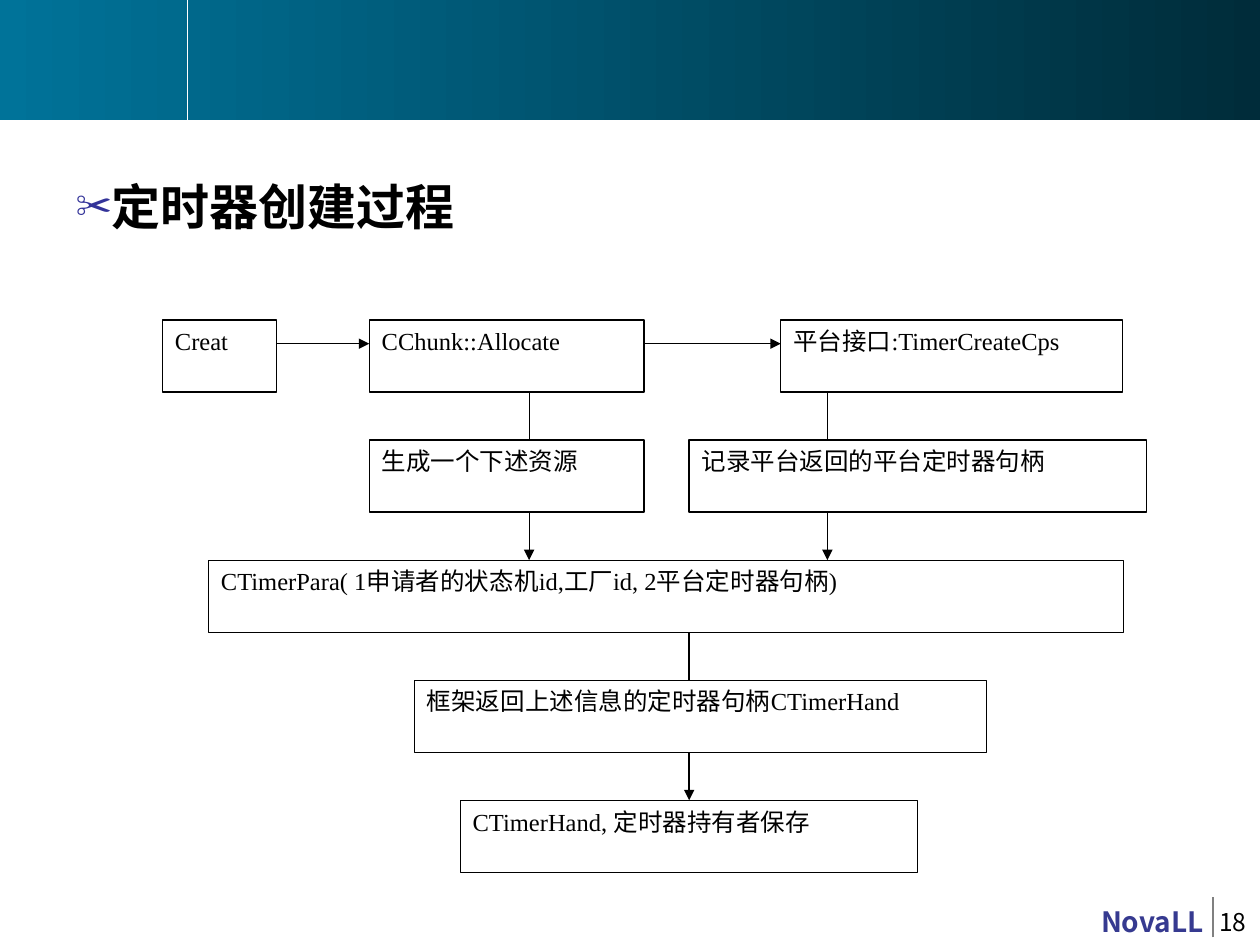
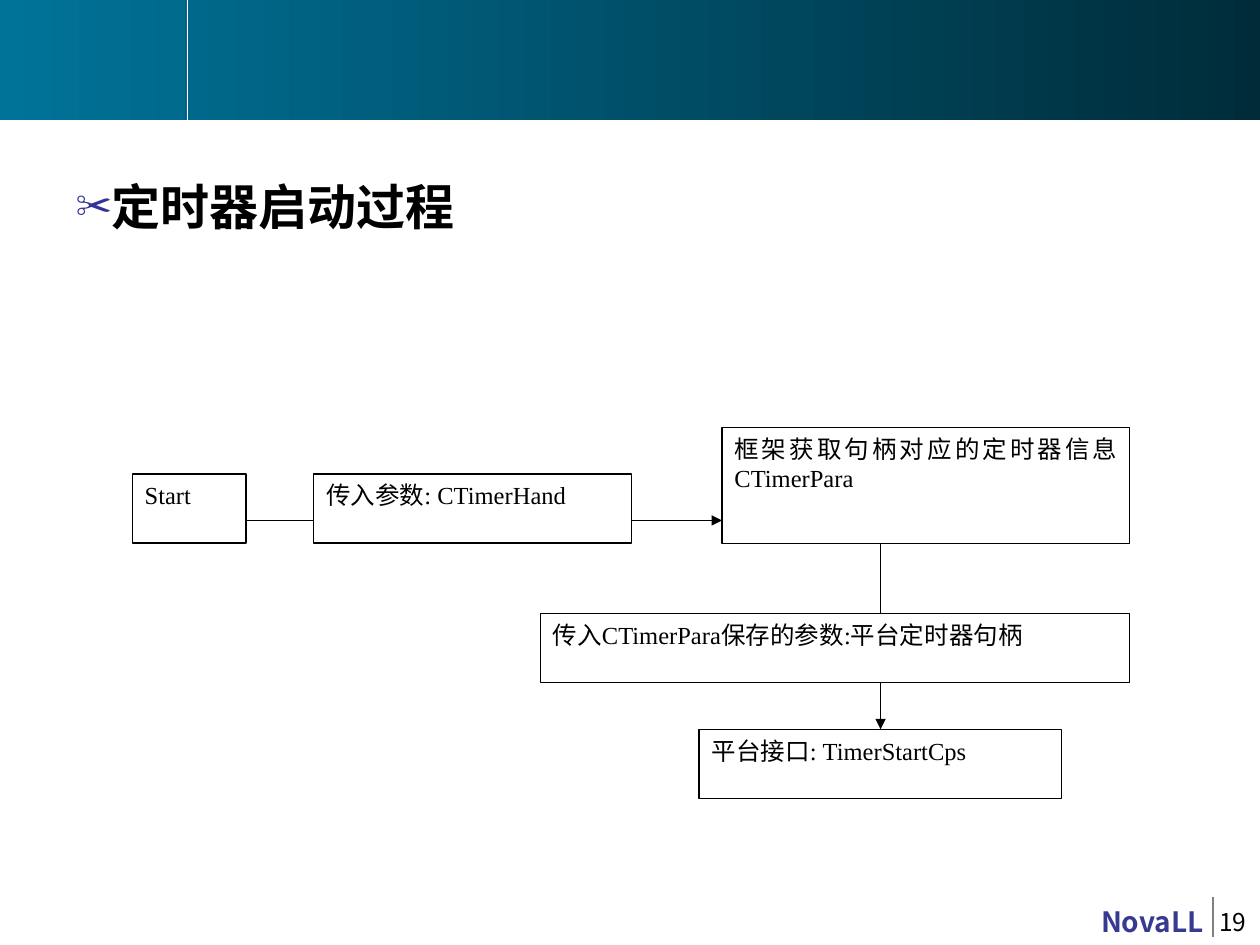
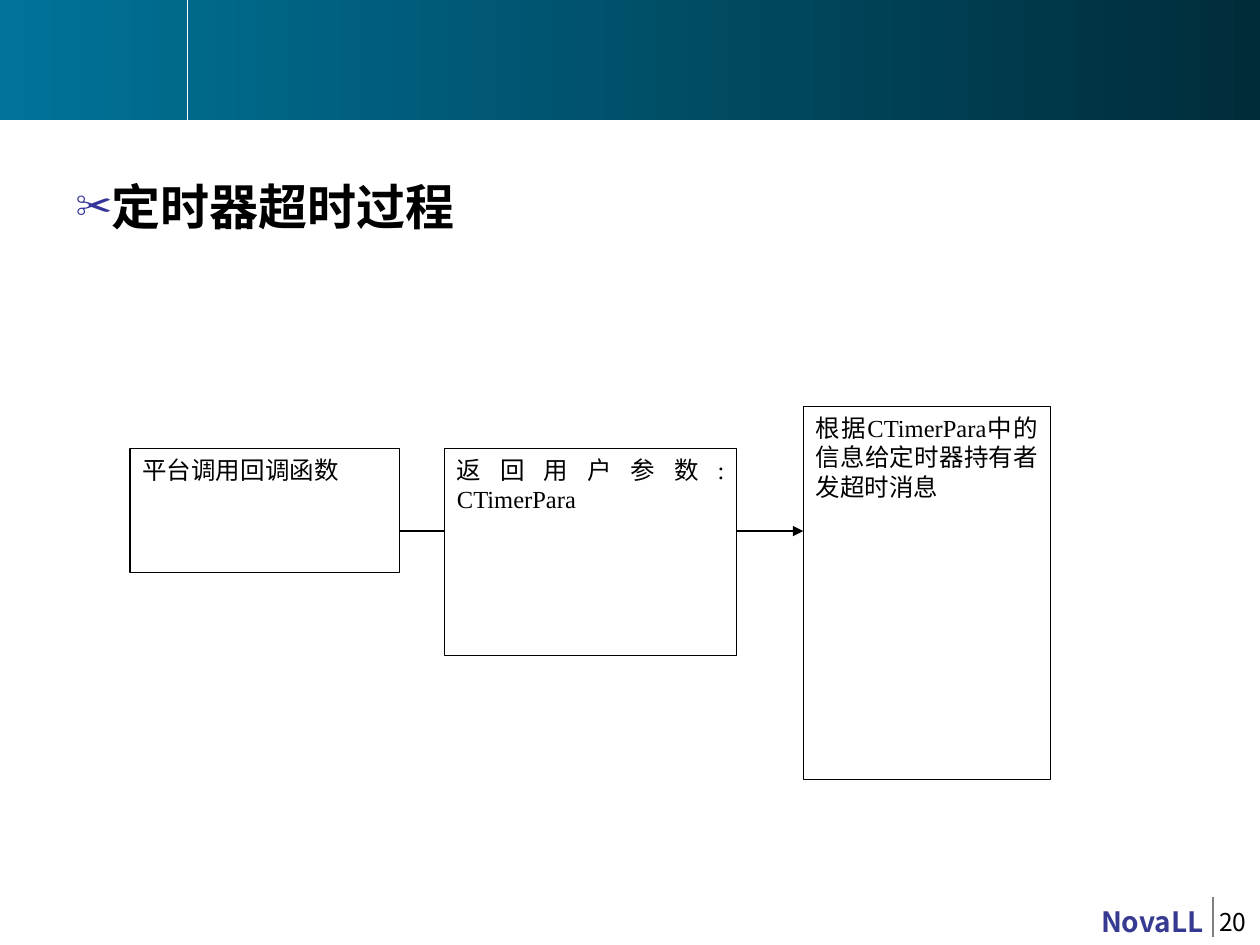
from lxml.etree import SubElement
from pptx import Presentation
from pptx.dml.color import RGBColor
from pptx.enum.shapes import MSO_CONNECTOR, MSO_SHAPE
from pptx.enum.text import MSO_ANCHOR, MSO_AUTO_SIZE, PP_ALIGN
from pptx.oxml.ns import qn
from pptx.util import Pt

BLACK, WHITE, GRAY = "000000", "FFFFFF", "808080"
BRAND, BULLET = "363A90", "333399"
BAND_START, BAND_END = "007399", "002C3A"
SANS, SERIF, HEADING = "Noto Sans CJK JP", "Times New Roman", "Arial"
WIDTH, HEIGHT = 720, 540
FIRST_PAGE = 18

CREATE_ROWS = [182.9 + 68.6 * row for row in range(5)]
CREATE_HEIGHT = 41.2
START_HEIGHT = 39.6

# Each box is (left, top, width, height, text); each arrow is
# (from box, to box, direction, fixed coordinate).
SLIDES = [
    {
        "heading": "定时器创建过程",
        "boxes": {
            "create": (92.9, CREATE_ROWS[0], 65.2, CREATE_HEIGHT, "Creat"),
            "allocate": (211, CREATE_ROWS[0], 157, CREATE_HEIGHT, "CChunk::Allocate"),
            "platform": (446.2, CREATE_ROWS[0], 195.4, CREATE_HEIGHT, "平台接口:TimerCreateCps"),
            "resource": (211, CREATE_ROWS[1], 157, CREATE_HEIGHT, "生成一个下述资源"),
            "record": (393.8, CREATE_ROWS[1], 261.4, CREATE_HEIGHT, "记录平台返回的平台定时器句柄"),
            "parameters": (119.2, CREATE_ROWS[2], 523, CREATE_HEIGHT,
                           "CTimerPara( 1申请者的状态机id,工厂id, 2平台定时器句柄)"),
            "returned": (236.9, CREATE_ROWS[3], 326.9, CREATE_HEIGHT,
                         "框架返回上述信息的定时器句柄CTimerHand"),
            "holder": (263, CREATE_ROWS[4], 261.4, CREATE_HEIGHT, "CTimerHand, 定时器持有者保存"),
        },
        "arrows": [
            ("create", "allocate", "across", 196.4),
            ("allocate", "platform", "across", 196.4),
            ("allocate", "parameters", "down", 302.4),
            ("platform", "parameters", "down", 472.8),
            ("parameters", "holder", "down", 393.8),
        ],
    },
    {
        "heading": "定时器启动过程",
        "boxes": {
            "start": (75.6, 270.8, 65, START_HEIGHT, "Start"),
            "argument": (179.3, 270.8, 181.5, START_HEIGHT, "传入参数: CTimerHand"),
            "lookup": (412.6, 244.3, 233, 66.2, "框架获取句柄对应的定时器信息CTimerPara"),
            "saved": (308.8, 350.5, 336.8, START_HEIGHT, "传入CTimerPara保存的参数:平台定时器句柄"),
            "platform": (399.5, 416.8, 207.3, START_HEIGHT, "平台接口: TimerStartCps"),
        },
        "arrows": [
            ("start", "lookup", "across", 297.4),
            ("lookup", "platform", "down", 503.2),
        ],
    },
    {
        "heading": "定时器超时过程",
        "boxes": {
            "callback": (74.3, 256.2, 154.1, 70.9, "平台调用回调函数"),
            "returned": (254, 256.2, 167, 118.3, "返回用户参数: CTimerPara"),
            "message": (459, 232.3, 141.4, 213.1, "根据CTimerPara中的信息给定时器持有者发超时消息"),
        },
        "arrows": [("callback", "message", "across", 303.5)],
    },
]


def color(value):
    """Turn a hex string into a colour."""
    return RGBColor.from_string(value)


def write(frame, text, size=14, font=SERIF, fill=BLACK, bold=False, align=PP_ALIGN.JUSTIFY):
    """Fill a text frame with one formatted paragraph and return it."""
    frame.word_wrap = True
    frame.auto_size = MSO_AUTO_SIZE.NONE
    frame.vertical_anchor = MSO_ANCHOR.TOP
    paragraph = frame.paragraphs[0]
    paragraph.alignment = align
    run = paragraph.add_run()
    run.text = text
    run.font.size = Pt(size)
    run.font.bold = bold
    run.font.color.rgb = color(fill)
    run.font.name = font
    SubElement(run.font._element, qn("a:ea"), typeface=SANS)
    return paragraph


def add_rectangle(slide, left, top, width, height):
    """Add a rectangle without a shadow."""
    shape = slide.shapes.add_shape(
        MSO_SHAPE.RECTANGLE, Pt(left), Pt(top), Pt(width), Pt(height))
    shape.shadow.inherit = False
    return shape


def add_line(slide, start, end, stroke=BLACK, arrow=False):
    """Add a straight line, with an arrowhead at its end if asked."""
    line = slide.shapes.add_connector(
        MSO_CONNECTOR.STRAIGHT, *(Pt(value) for value in (*start, *end)))
    line.line.color.rgb = color(stroke)
    line.line.width = Pt(0.75)
    if arrow:
        SubElement(line.line._get_or_add_ln(), qn("a:tailEnd"), type="triangle")
    SubElement(line.element.spPr, qn("a:effectLst"))
    return line


def add_label(slide, text, left, top, width, height, **style):
    """Add a right-aligned footer label."""
    label = slide.shapes.add_textbox(Pt(left), Pt(top), Pt(width), Pt(height))
    write(label.text_frame, text, font=SANS, align=PP_ALIGN.RIGHT, **style)
    return label


def add_frame(slide, layout):
    """Place the shared band, rules and brand name on the layout."""
    band = add_rectangle(slide, 0, 0, WIDTH, 68.8)
    band.line.fill.background()
    band.fill.gradient()
    band.fill.gradient_angle = 0
    for stop, position, value in zip(band.fill.gradient_stops, (0, 1), (BAND_START, BAND_END)):
        stop.position = position
        stop.color.rgb = color(value)
    parts = [
        band,
        add_line(slide, (107, 0), (107, 72), WHITE),
        add_line(slide, (693.2, 535.7), (693.2, 512.6), GRAY),
        add_label(slide, "NovaLL", 617.8, 513.4, 77, 26.6, size=16, fill=BRAND, bold=True),
    ]
    for part in parts:
        layout.shapes.element.append(part.element)


def add_heading(slide, text):
    """Fill the body placeholder with the scissors-bulleted heading."""
    slide.shapes.title.element.getparent().remove(slide.shapes.title.element)
    body = slide.placeholders[1]
    body.left, body.top, body.width, body.height = Pt(36), Pt(90.7), Pt(648), Pt(47.5)
    paragraph = write(body.text_frame, text, size=28, font=HEADING, bold=True, align=PP_ALIGN.LEFT)
    paragraph.line_spacing = 1.2
    paragraph.space_before = Pt(5.2)
    properties = paragraph._p.get_or_add_pPr()
    properties.set("marL", str(Pt(15)))
    properties.set("indent", str(-Pt(15)))
    SubElement(SubElement(properties, qn("a:buClr")), qn("a:srgbClr"), val=BULLET)
    SubElement(properties, qn("a:buSzPct"), val="75000")
    SubElement(properties, qn("a:buChar"), char="✂")


def add_flow(slide, boxes, arrows):
    """Draw the arrows, then the boxes that lie over them."""
    for source, target, direction, fixed in arrows:
        left, top, width, height, _ = boxes[source]
        target_left, target_top = boxes[target][:2]
        if direction == "across":
            start, end = (left + width, fixed), (target_left, fixed)
        else:
            start, end = (fixed, top + height), (fixed, target_top)
        add_line(slide, start, end, arrow=True)
    for *place, text in boxes.values():
        box = add_rectangle(slide, *place)
        box.fill.solid()
        box.fill.fore_color.rgb = color(WHITE)
        box.line.color.rgb = color(BLACK)
        box.line.width = Pt(0.75)
        write(box.text_frame, text)


def main():
    """Build the timer slides."""
    presentation = Presentation()
    presentation.slide_width, presentation.slide_height = Pt(WIDTH), Pt(HEIGHT)
    layout = presentation.slide_layouts[1]
    for index, content in enumerate(SLIDES):
        slide = presentation.slides.add_slide(layout)
        if index == 0:
            add_frame(slide, layout)
        add_heading(slide, content["heading"])
        add_flow(slide, content["boxes"], content["arrows"])
        add_label(slide, str(FIRST_PAGE + index), 600.5, 514.8, 118.8, 22.3)
    presentation.save("out.pptx")


if __name__ == "__main__":
    main()
